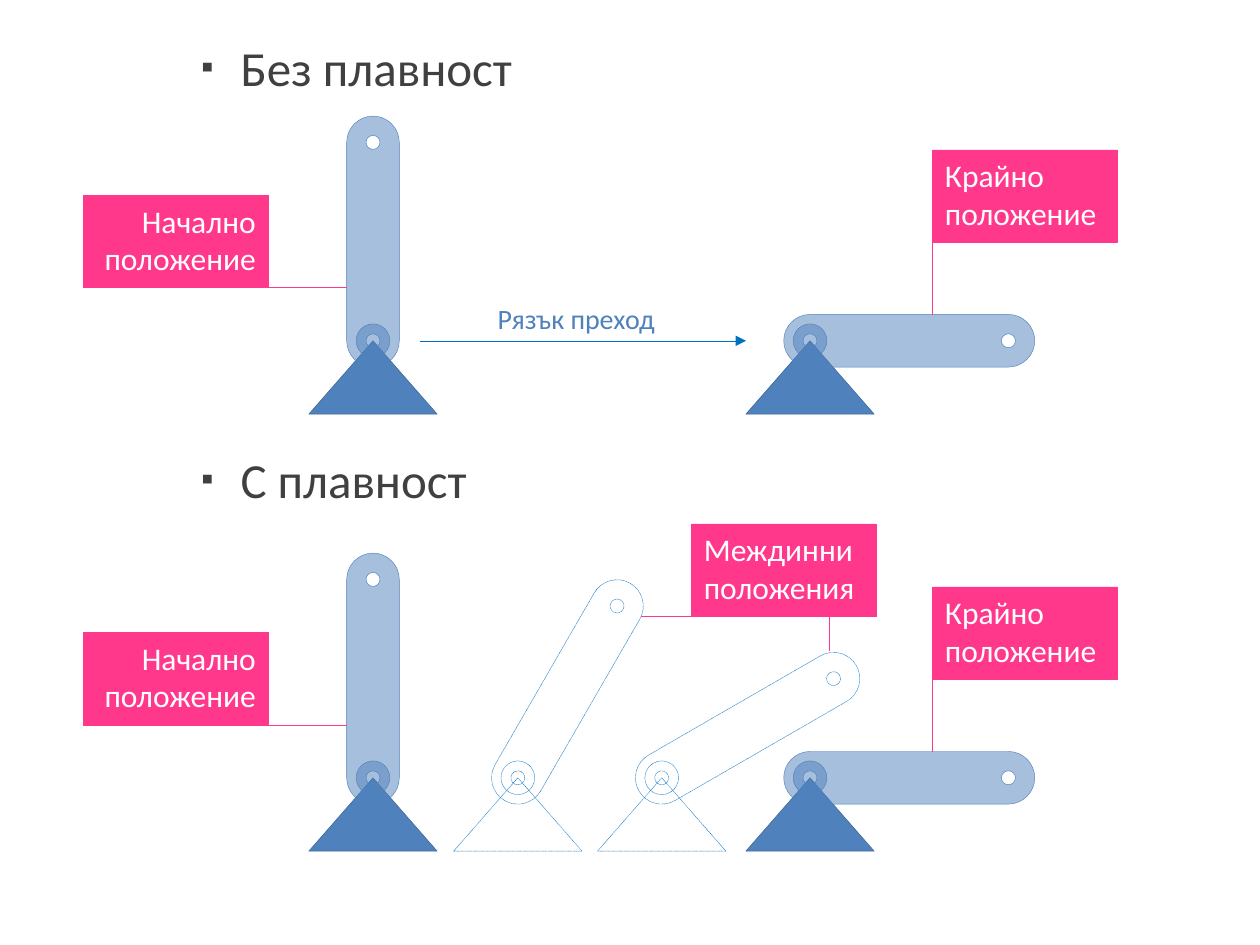
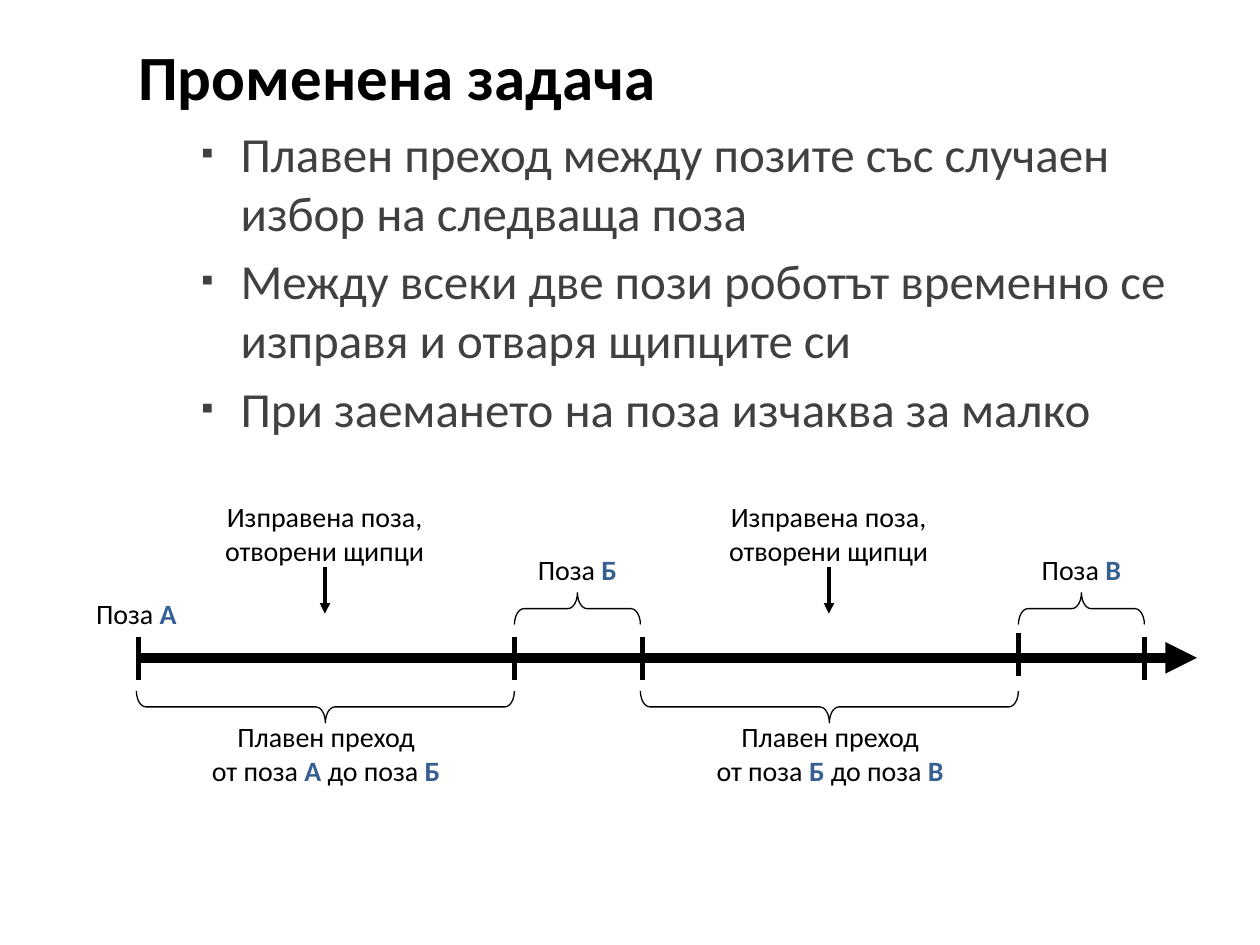
"""Build two slides on smooth motion: robot arm positions and a pose timeline."""
import dataclasses
import typing

import lxml.etree
import pptx
import pptx.dml.color
import pptx.enum.dml
import pptx.enum.shapes
import pptx.enum.text
import pptx.oxml.ns
import pptx.util

BLACK = pptx.dml.color.RGBColor(0x00, 0x00, 0x00)
WHITE = pptx.dml.color.RGBColor(0xFF, 0xFF, 0xFF)
GREY = pptx.dml.color.RGBColor(0x40, 0x40, 0x40)
PINK = pptx.dml.color.RGBColor(0xFF, 0x38, 0x8C)
BLUE = pptx.dml.color.RGBColor(0x4F, 0x81, 0xBD)
EDGE_BLUE = pptx.dml.color.RGBColor(0x3A, 0x5F, 0x8C)
DOT_BLUE = pptx.dml.color.RGBColor(0x00, 0x70, 0xC0)
POSE_BLUE = pptx.dml.color.RGBColor(0x37, 0x60, 0x92)

SHAPE = pptx.enum.shapes.MSO_SHAPE
ALIGN = pptx.enum.text.PP_ALIGN
FONT = "Calibri"
THIN = 0.25

HUB_Y, ROW_STEP = 6.87, 8.81
START_X, END_X = 7.52, 16.33
ARM_LENGTH, ARM_RADIUS, HOLE_RADIUS, RING_RADIUS = 4.0, 0.53, 0.14, 0.34
BASE_WIDTH, BASE_HEIGHT = 2.59, 1.48
LABEL_WIDTH, LABEL_HEIGHT = 3.73, 1.86
CURVE_PULL = 0.55

AXIS_Y, PERIOD = 13.26, 10.16
BRACE_DEPTH = 0.64
Point = tuple[float, float]
Box = tuple[float, float, float, float]


@dataclasses.dataclass(frozen=True)
class Arm:
    hub_x: float
    hub_y: float
    angle: int
    solid: bool = True


@dataclasses.dataclass(frozen=True)
class Callout:
    text: str
    left: float
    top: float
    leaders: tuple[tuple[Point, Point], ...]
    alignment: typing.Any = ALIGN.LEFT


@dataclasses.dataclass(frozen=True)
class Bullet:
    text: str
    space_before: float = 5.6


@dataclasses.dataclass(frozen=True)
class Caption:
    text: str
    box: Box


@dataclasses.dataclass(frozen=True)
class Brace:
    box: Box
    rotation: int


def apply_format(target: typing.Any, values: dict[str, typing.Any]) -> None:
    for name, value in values.items():
        setattr(target, name, value)


def cm_box(values: typing.Iterable[float]) -> list[pptx.util.Cm]:
    return [pptx.util.Cm(value) for value in values]


def format_font(font: typing.Any, size: float, color: typing.Any, bold: bool = False) -> None:
    apply_format(font, {"name": FONT, "size": pptx.util.Pt(size), "bold": bold})
    font.color.rgb = color


def format_line(line: typing.Any, color: typing.Any, width: float, dotted: bool) -> None:
    line.color.rgb = color
    line.width = pptx.util.Pt(width)
    if dotted:
        line.dash_style = pptx.enum.dml.MSO_LINE.ROUND_DOT


def paint(shape: typing.Any, line: typing.Any, fill: typing.Any = None,
          opacity: int = 100, width: float = THIN, dotted: bool = False) -> None:
    shape.shadow.inherit = False
    if fill is None:
        shape.fill.background()
    else:
        shape.fill.solid()
        shape.fill.fore_color.rgb = fill
        if opacity < 100:
            color = shape.element.spPr.find(pptx.oxml.ns.qn("a:solidFill"))[0]
            lxml.etree.SubElement(color, pptx.oxml.ns.qn("a:alpha"), val=str(opacity * 1000))
    format_line(shape.line, line, width, dotted)


def draw_line(slide: typing.Any, start: Point, end: Point, color: typing.Any,
              width: float = THIN, dotted: bool = False, arrow: bool = False) -> None:
    connector = slide.shapes.add_connector(
        pptx.enum.shapes.MSO_CONNECTOR.STRAIGHT, *cm_box((*start, *end)))
    format_line(connector.line, color, width, dotted)
    properties = connector.element.spPr
    if arrow:
        outline = properties.find(pptx.oxml.ns.qn("a:ln"))
        lxml.etree.SubElement(outline, pptx.oxml.ns.qn("a:tailEnd"), type="triangle")
    lxml.etree.SubElement(properties, pptx.oxml.ns.qn("a:effectLst"))


def draw_text(slide: typing.Any, caption: Caption, color: typing.Any = BLACK,
              alignment: typing.Any = ALIGN.CENTER, wrap: bool = True) -> None:
    """Draw text: asterisks emphasise, a vertical tab breaks a line within a paragraph."""
    frame = slide.shapes.add_textbox(*cm_box(caption.box)).text_frame
    apply_format(frame, {"word_wrap": wrap,
                         "auto_size": pptx.enum.text.MSO_AUTO_SIZE.SHAPE_TO_FIT_TEXT})
    for index, line in enumerate(caption.text.split("\n")):
        paragraph = frame.add_paragraph() if index else frame.paragraphs[0]
        paragraph.alignment = alignment
        for position, part in enumerate(line.split("*")):
            marked = position % 2 == 1
            for row, words in enumerate(part.split("\v")):
                if row:
                    paragraph.add_line_break()
                if words:
                    run = paragraph.add_run()
                    run.text = words
                    format_font(run.font, 16, POSE_BLUE if marked else color, marked)


def add_bullet_mark(paragraph: typing.Any) -> None:
    properties = paragraph._p.get_or_add_pPr()
    properties.set("marL", str(pptx.util.Cm(2.06)))
    properties.set("indent", str(pptx.util.Cm(-0.79)))
    color = lxml.etree.SubElement(properties, pptx.oxml.ns.qn("a:buClr"))
    lxml.etree.SubElement(color, pptx.oxml.ns.qn("a:srgbClr"), val=str(GREY))
    lxml.etree.SubElement(properties, pptx.oxml.ns.qn("a:buSzPct"), val="70000")
    lxml.etree.SubElement(properties, pptx.oxml.ns.qn("a:buFont"), typeface=FONT)
    lxml.etree.SubElement(properties, pptx.oxml.ns.qn("a:buChar"), char="▪")


def draw_body(slide: typing.Any, bullets: list[Bullet], title: str = "") -> None:
    frame = slide.shapes.add_textbox(*cm_box((2.54, 0.64, 22.66, 18.21))).text_frame
    frame.word_wrap = True
    paragraph = frame.paragraphs[0]
    if title:
        paragraph.text = title
        format_font(paragraph.font, 36, BLACK, True)
    for index, bullet in enumerate(bullets):
        if index or title:
            paragraph = frame.add_paragraph()
            paragraph.space_before = pptx.util.Pt(bullet.space_before)
        paragraph.text = bullet.text
        add_bullet_mark(paragraph)
        format_font(paragraph.font, 28, GREY)


def curve_points(center: Point, radius: float, quarters: range) -> list[list[pptx.util.Cm]]:
    """Return the start of an arc, then three curve points for each quarter turn."""
    directions = ((1, 0), (0, 1), (-1, 0), (0, -1))
    offsets = [directions[quarters[0]]]
    for quarter in quarters:
        (ax, ay), (bx, by) = directions[quarter % 4], directions[(quarter + 1) % 4]
        offsets += [(ax + CURVE_PULL * bx, ay + CURVE_PULL * by),
                    (bx + CURVE_PULL * ax, by + CURVE_PULL * ay), (bx, by)]
    return [cm_box((center[0] + radius * x, center[1] + radius * y)) for x, y in offsets]


def draw_lever(slide: typing.Any, arm: Arm) -> typing.Any:
    """Draw a rounded bar with two holes and turn it about its hub."""
    turned = arm.angle * 3.141592653589793 / 180
    step = complex(2.718281828459045) ** (1j * turned) * ARM_LENGTH / 2
    middle_x, y = arm.hub_x + step.real, arm.hub_y - step.imag
    ends = [(middle_x + ARM_LENGTH / 2, y), (middle_x - ARM_LENGTH / 2, y)]
    outline = (curve_points(ends[0], ARM_RADIUS, range(3, 5))
               + curve_points(ends[1], ARM_RADIUS, range(1, 3)))
    builder = slide.shapes.build_freeform(*outline[0])
    builder.add_line_segments(outline[1:])
    for end in ends:
        hole = curve_points(end, HOLE_RADIUS, range(4))
        builder.move_to(*hole[0])
        builder.add_line_segments(hole[1:])
    lever = builder.convert_to_shape()
    lines = list(lever.element.iter(pptx.oxml.ns.qn("a:lnTo")))
    straight_side = 6
    curved = lines[:straight_side] + lines[straight_side + 1:]
    for first, second, third in zip(curved[::3], curved[1::3], curved[2::3]):
        first.tag = pptx.oxml.ns.qn("a:cubicBezTo")
        for line in (second, third):
            first.append(line[0])
            line.getparent().remove(line)
    lever.rotation = -arm.angle % 360
    return lever


def draw_arm(slide: typing.Any, arm: Arm) -> None:
    base = slide.shapes.add_shape(SHAPE.ISOSCELES_TRIANGLE, *cm_box(
        (arm.hub_x - BASE_WIDTH / 2, arm.hub_y, BASE_WIDTH, BASE_HEIGHT)))
    lever = draw_lever(slide, arm)
    ring = slide.shapes.add_shape(SHAPE.OVAL, *cm_box(
        (arm.hub_x - RING_RADIUS, arm.hub_y - RING_RADIUS, 2 * RING_RADIUS, 2 * RING_RADIUS)))
    if arm.solid:
        paint(base, EDGE_BLUE, BLUE)
        for shape in (lever, ring):
            paint(shape, BLUE, BLUE, opacity=50)
    else:
        for shape in (base, lever, ring):
            paint(shape, DOT_BLUE, dotted=True)


def draw_callout(slide: typing.Any, callout: Callout) -> None:
    for start, end in callout.leaders:
        draw_line(slide, start, end, PINK)
    label = slide.shapes.add_shape(SHAPE.RECTANGLE, *cm_box(
        (callout.left, callout.top, LABEL_WIDTH, LABEL_HEIGHT)))
    paint(label, PINK, PINK)
    frame = label.text_frame
    apply_format(frame, {"word_wrap": True, "vertical_anchor": pptx.enum.text.MSO_ANCHOR.TOP})
    paragraph = frame.paragraphs[0]
    apply_format(paragraph, {"text": callout.text, "alignment": callout.alignment})
    format_font(paragraph.font, 18, WHITE)


def build_positions(slide: typing.Any) -> None:
    draw_body(slide, [Bullet("Без плавност"), Bullet("С плавност", space_before=201.5)])
    for shift in (0, ROW_STEP):
        hub_y = HUB_Y + shift
        start_top, end_top = 3.94 + shift, 3.02 + shift
        start_bottom = start_top + LABEL_HEIGHT
        draw_arm(slide, Arm(START_X, hub_y, 90))
        draw_arm(slide, Arm(END_X, hub_y, 0))
        draw_callout(slide, Callout(
            "Начално положение", 1.68, start_top,
            (((1.68, start_bottom), (START_X - ARM_RADIUS, start_bottom)),), ALIGN.RIGHT))
        draw_callout(slide, Callout(
            "Крайно положение", 18.8, end_top,
            (((18.8, end_top), (18.8, hub_y - ARM_RADIUS)),)))
    draw_line(slide, (8.46, HUB_Y), (15.04, HUB_Y), DOT_BLUE, dotted=True, arrow=True)
    draw_text(slide, Caption("Рязък преход", (9.78, 5.95, 3.91, 0.94)), BLUE, ALIGN.LEFT, False)
    for hub_x, angle in ((10.44, 60), (13.34, 30)):
        draw_arm(slide, Arm(hub_x, HUB_Y + ROW_STEP, angle, solid=False))
    draw_callout(slide, Callout(
        "Междинни положения", 13.94, 10.56,
        (((16.71, 11.48), (16.71, 13.13)), ((17.67, 12.42), (12.93, 12.42)))))


def build_timeline(slide: typing.Any) -> None:
    draw_body(slide, [
        Bullet("Плавен преход между позите със случаен избор на следваща поза"),
        Bullet("Между всеки две пози роботът временно се изправя и отваря щипците си"),
        Bullet("При заемането на поза изчаква за малко"),
    ], title="Променена задача")
    draw_line(slide, (2.74, AXIS_Y), (24.13, AXIS_Y), BLACK, 6, arrow=True)
    for x, top in ((2.79, 12.84), (10.37, 12.84), (12.95, 12.84), (20.53, 12.76), (23.07, 12.84)):
        draw_line(slide, (x, top), (x, top + 0.86), BLACK, 3)
    draw_text(slide, Caption("Поза *А*", (1.48, 11.9, 2.54, 0.94)))
    for index, (old_pose, new_pose) in enumerate((("А", "Б"), ("Б", "В"))):
        shift = index * PERIOD
        for brace in (Brace((6.24 + shift, 10.44, BRACE_DEPTH, 7.62), 270),
                      Brace((11.32 + shift, 11.0, BRACE_DEPTH, 2.54), 90)):
            shape = slide.shapes.add_shape(SHAPE.LEFT_BRACE, *cm_box(brace.box))
            shape.rotation = brace.rotation
            shape.adjustments[0] = 0.3
            paint(shape, BLACK, width=0.75)
        for caption in (
            Caption(f"Плавен преход\nот поза *{old_pose}* до поза *{new_pose}*",
                    (2.78 + shift, 14.38, 7.59, 1.63)),
            Caption(f"Поза *{new_pose}*", (10.37 + shift, 11.02, 2.54, 0.94)),
            Caption("Изправена поза,\vотворени щипци", (2.75 + shift, 9.95, 7.59, 1.63)),
        ):
            draw_text(slide, caption)
        draw_line(slide, (6.55 + shift, 11.43), (6.55 + shift, 12.37), BLACK, 2, arrow=True)


def main() -> None:
    presentation = pptx.Presentation()
    apply_format(presentation, {"slide_width": pptx.util.Cm(25.4),
                                "slide_height": pptx.util.Cm(19.05)})
    for build in (build_positions, build_timeline):
        build(presentation.slides.add_slide(presentation.slide_layouts[6]))
    presentation.save("out.pptx")


if __name__ == "__main__":
    main()
